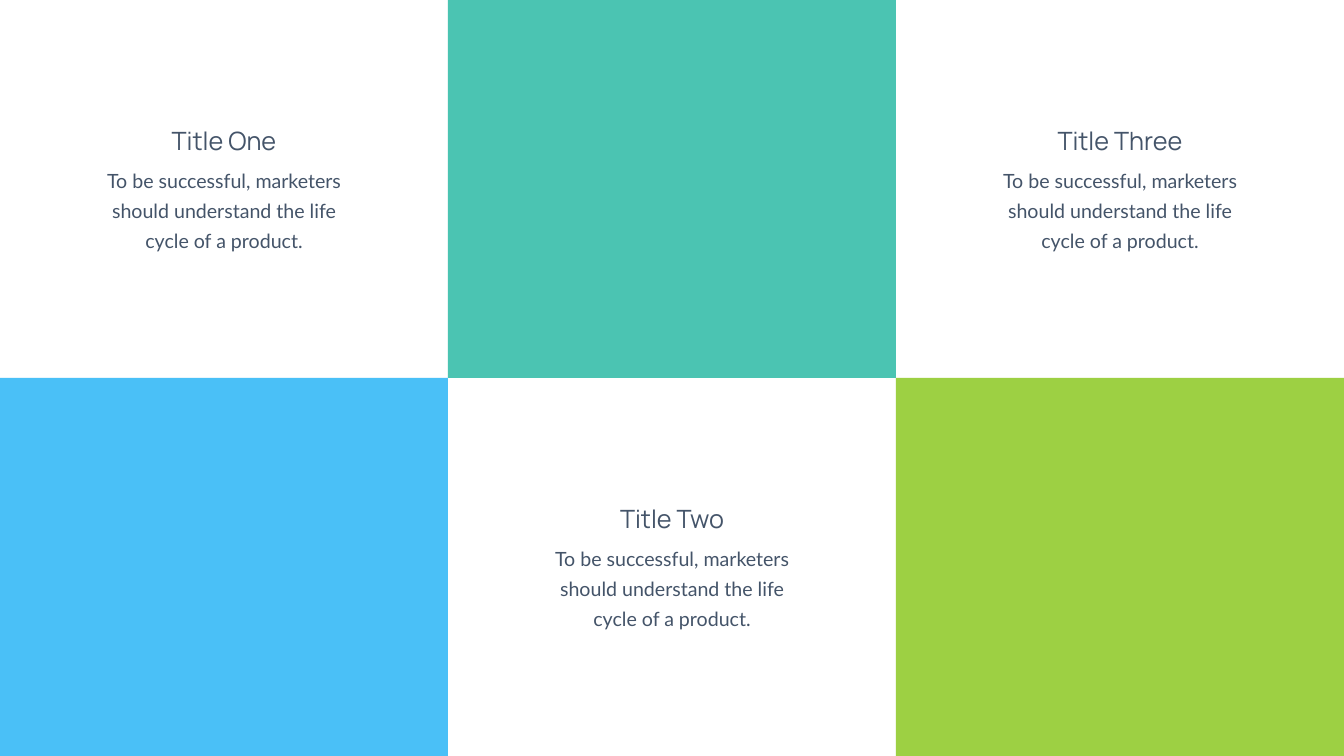
from dataclasses import dataclass

from lxml import etree
from pptx import Presentation
from pptx.dml.color import RGBColor
from pptx.enum.shapes import MSO_SHAPE
from pptx.enum.text import MSO_AUTO_SIZE, PP_ALIGN
from pptx.oxml.ns import qn
from pptx.util import Inches, Pt

RECT = MSO_SHAPE.RECTANGLE
CENTER = PP_ALIGN.CENTER
GROW = MSO_AUTO_SIZE.SHAPE_TO_FIT_TEXT

WIDE, HIGH = 26.66, 15
COL, ROW = WIDE / 3, HIGH / 2
TEXT_W = 4.88
INK = "445469"
BODY = "To be successful, marketers should understand the life cycle of a product."


@dataclass
class Tile:
    col: int
    row: int
    color: str


@dataclass
class Card:
    col: int
    row: int
    title: str


@dataclass
class Style:
    top: float
    height: float
    font: str
    size: int
    lead: int | None = None


HEAD = Style(2.46, 0.71, "Manrope", 36)
COPY = Style(3.2, 1.84, "Lato", 28, 43)

TILES = [Tile(0, 1, "1DB1F5"), Tile(1, 0, "1FB69F"), Tile(2, 1, "85C515")]
CARDS = [Card(0, 0, "Title One"), Card(2, 0, "Title Three"), Card(1, 1, "Title Two")]


def paint(fill, color: str, alpha: int = 100) -> None:
    """Fill with a solid colour; alpha is the opacity in percent."""
    fill.solid()
    fill.fore_color.rgb = RGBColor.from_string(color)
    if alpha < 100:
        tint = fill._xPr.find(".//" + qn("a:srgbClr"))
        etree.SubElement(tint, qn("a:alpha"), val=str(alpha * 1000))


def draw_tile(shapes, tile: Tile) -> None:
    box = shapes.add_shape(RECT, Inches(tile.col * COL), Inches(tile.row * ROW),
                           Inches(COL), Inches(ROW))
    box.shadow.inherit = False
    box.line.fill.background()
    paint(box.fill, tile.color, 80)


def draw_text(shapes, card: Card, text: str, style: Style) -> None:
    """Centre a text box in the card's column, at the style's height in its row."""
    left = card.col * COL + (COL - TEXT_W) / 2
    box = shapes.add_textbox(Inches(left), Inches(card.row * ROW + style.top),
                             Inches(TEXT_W), Inches(style.height))
    frame = box.text_frame
    frame.word_wrap = True
    frame.auto_size = GROW
    frame.margin_left = frame.margin_right = Inches(0.05)
    frame.margin_top = frame.margin_bottom = Inches(0.02)
    para = frame.paragraphs[0]
    para.alignment = CENTER
    if style.lead:
        para.line_spacing = Pt(style.lead)
    run = para.add_run()
    run.text = text
    run.font.name = style.font
    run.font.size = Pt(style.size)
    paint(run.font.fill, INK)


def draw_card(shapes, card: Card) -> None:
    group = shapes.add_group_shape()
    draw_text(group.shapes, card, card.title, HEAD)
    draw_text(group.shapes, card, BODY, COPY)


def main() -> None:
    deck = Presentation()
    deck.slide_width, deck.slide_height = Inches(WIDE), Inches(HIGH)
    slide = deck.slides.add_slide(deck.slide_layouts[6])
    paint(slide.background.fill, "FFFFFF")
    for tile in TILES:
        draw_tile(slide.shapes, tile)
    for card in CARDS:
        draw_card(slide.shapes, card)
    deck.save("out.pptx")


if __name__ == "__main__":
    main()
